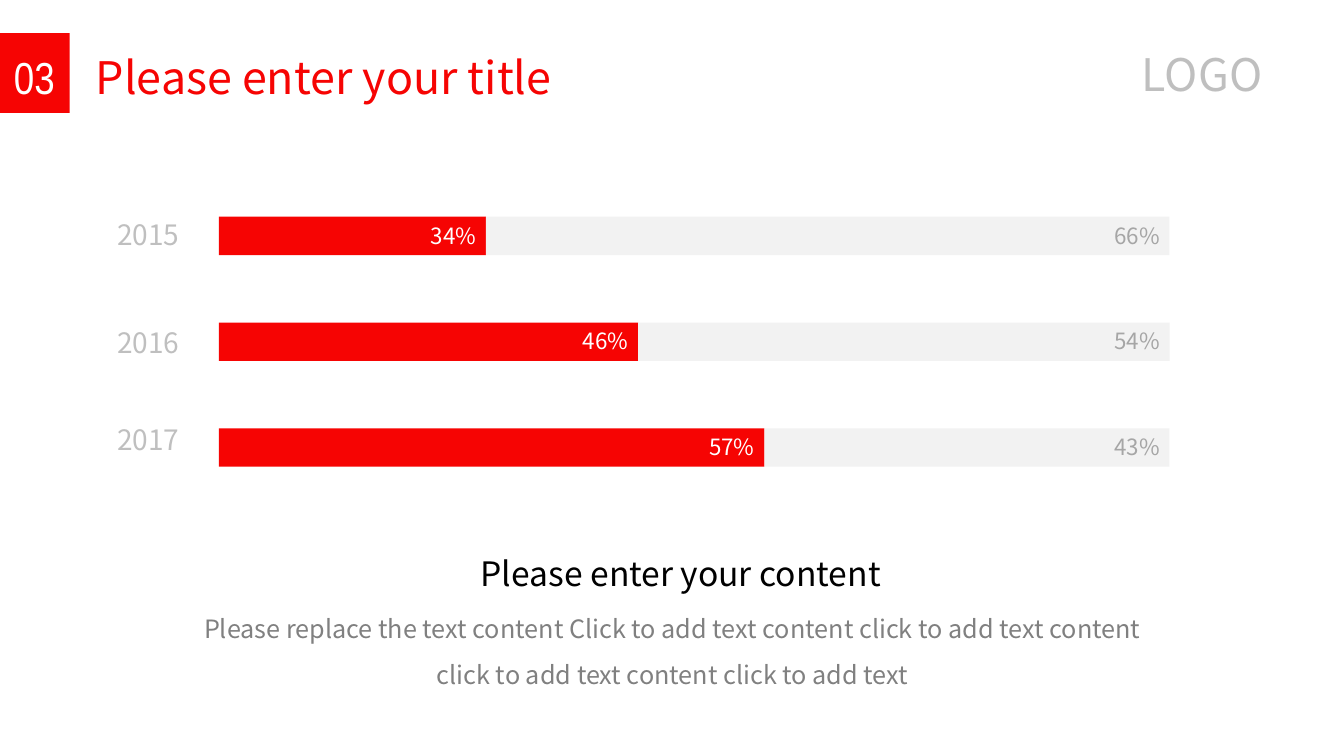
"""Build a slide of three yearly percentage bars with a title and a closing text."""
from dataclasses import dataclass
from typing import NamedTuple

from pptx import Presentation
from pptx.dml.color import RGBColor
from pptx.enum.shapes import MSO_SHAPE
from pptx.enum.text import MSO_ANCHOR, MSO_AUTO_SIZE, PP_ALIGN
from pptx.util import Inches, Pt

RECTANGLE = MSO_SHAPE.RECTANGLE
TOP = MSO_ANCHOR.TOP
FIXED = MSO_AUTO_SIZE.NONE
JUSTIFY, RIGHT, CENTER = PP_ALIGN.JUSTIFY, PP_ALIGN.RIGHT, PP_ALIGN.CENTER
SLIDE_WIDTH, SLIDE_HEIGHT = Inches(13.33), Inches(7.5)


@dataclass(frozen=True)
class Theme:
    red: str = "F60403"
    track: str = "F2F2F2"
    white: str = "FFFFFF"
    black: str = "000000"
    pale: str = "BFBFBF"
    silver: str = "A6A6A6"
    grey: str = "808080"
    font: str = "Noto Sans CJK SC"
    narrow: str = "Arial Narrow"
    title: int = 32
    heading: int = 24
    year: int = 20
    body: int = 18
    value: int = 16


class Area(NamedTuple):
    """A rectangle in percent of the slide's width and height."""
    left: float
    top: float
    width: float
    height: float

    def emu(self) -> tuple[int, int, int, int]:
        return (int(SLIDE_WIDTH * self.left / 100), int(SLIDE_HEIGHT * self.top / 100),
                int(SLIDE_WIDTH * self.width / 100), int(SLIDE_HEIGHT * self.height / 100))


@dataclass(frozen=True)
class Caption:
    text: str
    area: Area
    size: int
    color: str
    align: PP_ALIGN
    font: str = Theme.font
    spacing: float = 1.0
    wrap: bool = True


class YearBar(NamedTuple):
    year: str
    year_top: float
    done: str
    rest: str
    done_share: float


THEME = Theme()
BAR_LEFT, BAR_TOP, BAR_WIDTH, BAR_HEIGHT, BAR_PITCH = 16.28, 28.67, 70.74, 5.07, 14
LABEL_WIDTH, YEAR_LEFT, YEAR_HEIGHT, VALUE_HEIGHT = 11.55, 2.55, 5.87, 4.93

TITLE = Caption("Please enter your title", Area(6.38, 5.87, 36.76, 8.53),
                THEME.title, THEME.red, JUSTIFY)
SECTION_TAB = Area(0, 4.4, 5.18, 10.53)
CAPTIONS = [
    Caption("03", Area(0.3, 5.87, 4.5, 8.53), THEME.title, THEME.white, JUSTIFY,
            font=THEME.narrow, wrap=False),
    Caption("LOGO", Area(83.12, 5.47, LABEL_WIDTH, 8.53), THEME.title, THEME.pale, RIGHT),
    Caption("Please enter your content", Area(35.03, 72.53, 32.11, 6.67),
            THEME.heading, THEME.black, JUSTIFY),
    Caption("Please replace the text content Click to add text content click to add text "
            "content click to add text content click to add text",
            Area(12.75, 78.53, 74.57, 12.8), THEME.body, THEME.grey, CENTER, spacing=1.5),
]
YEAR_BARS = [
    YearBar("2015", 28.13, "34%", "66%", 28.1),
    YearBar("2016", 42.4, "46%", "54%", 44.1),
    YearBar("2017", 55.2, "57%", "43%", 57.4),
]


def write_caption(holder, caption: Caption) -> None:
    """Place a text holder and fill it with a formatted caption."""
    holder.left, holder.top, holder.width, holder.height = caption.area.emu()
    frame = holder.text_frame
    frame.text = caption.text
    frame.word_wrap = caption.wrap
    frame.auto_size = FIXED
    frame.vertical_anchor = TOP
    paragraph = frame.paragraphs[0]
    paragraph.alignment = caption.align
    paragraph.line_spacing = caption.spacing
    paragraph.font.name = caption.font
    paragraph.font.size = Pt(caption.size)
    paragraph.font.color.rgb = RGBColor.from_string(caption.color)


def add_caption(slide, caption: Caption) -> None:
    """Add a text box for a caption."""
    write_caption(slide.shapes.add_textbox(*caption.area.emu()), caption)


def add_block(slide, area: Area, color: str) -> None:
    """Add a plain filled rectangle."""
    block = slide.shapes.add_shape(RECTANGLE, *area.emu())
    block.shadow.inherit = False
    block.fill.solid()
    block.fill.fore_color.rgb = RGBColor.from_string(color)
    block.line.fill.background()


def add_year_bar(slide, bar: YearBar, top: float) -> None:
    """Draw one year's two-part bar with its year and values."""
    done_width = BAR_WIDTH * bar.done_share / 100
    split = BAR_LEFT + done_width
    segments = [
        (BAR_LEFT, done_width, THEME.red, bar.done, THEME.white),
        (split, BAR_WIDTH - done_width, THEME.track, bar.rest, THEME.silver),
    ]
    for left, width, fill, value, ink in segments:
        add_block(slide, Area(left, top, width, BAR_HEIGHT), fill)
        value_area = Area(left + width - LABEL_WIDTH, top, LABEL_WIDTH, VALUE_HEIGHT)
        add_caption(slide, Caption(value, value_area, THEME.value, ink, RIGHT))
    year_area = Area(YEAR_LEFT, bar.year_top, LABEL_WIDTH, YEAR_HEIGHT)
    add_caption(slide, Caption(bar.year, year_area, THEME.year, THEME.pale, RIGHT))


def main() -> None:
    """Assemble and save the slide."""
    presentation = Presentation()
    presentation.slide_width, presentation.slide_height = SLIDE_WIDTH, SLIDE_HEIGHT
    slide = presentation.slides.add_slide(presentation.slide_layouts.get_by_name("Title Only"))
    write_caption(slide.shapes.title, TITLE)
    add_block(slide, SECTION_TAB, THEME.red)
    for row, bar in enumerate(YEAR_BARS):
        add_year_bar(slide, bar, BAR_TOP + row * BAR_PITCH)
    for caption in CAPTIONS:
        add_caption(slide, caption)
    presentation.save("out.pptx")


if __name__ == "__main__":
    main()
